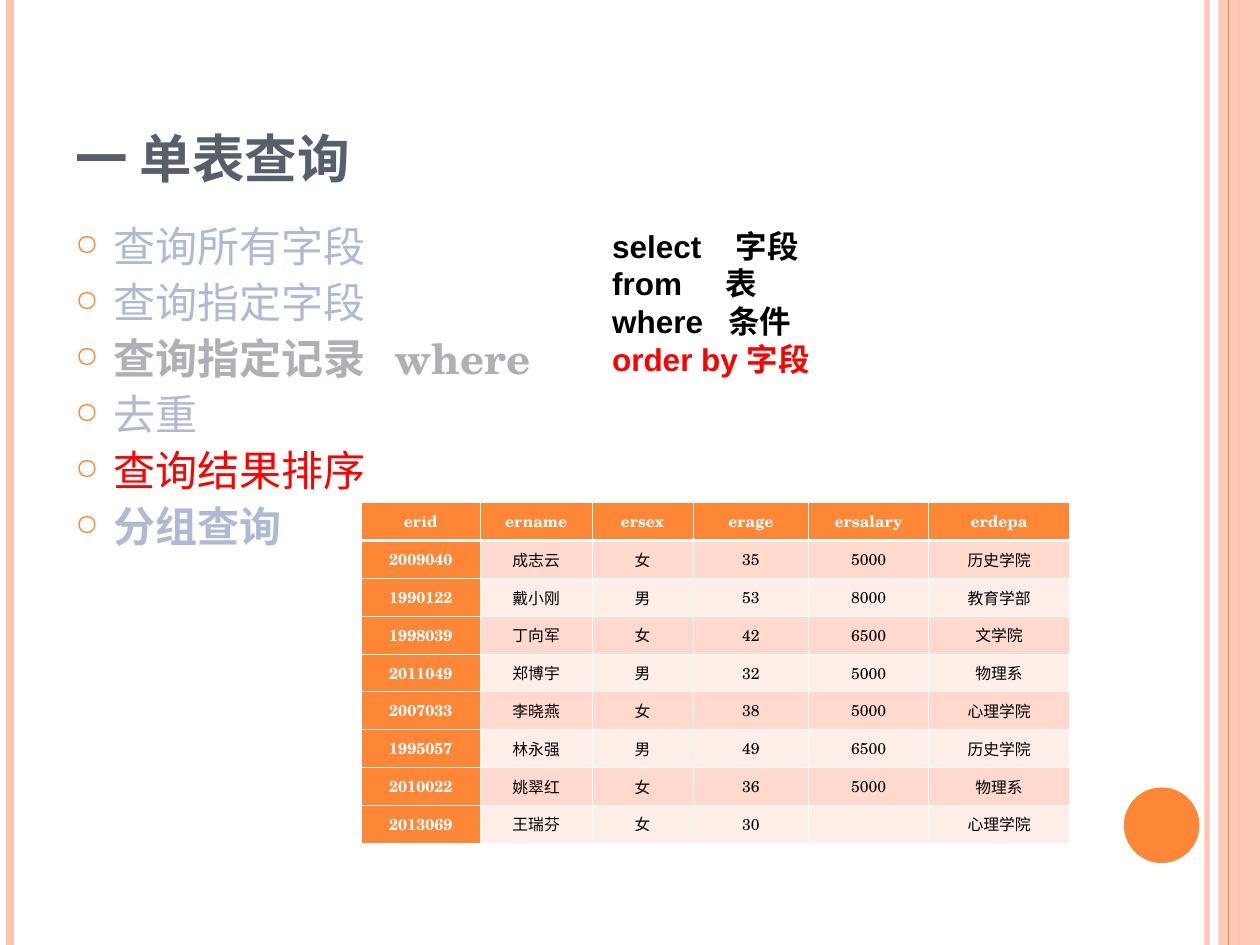
import pptx
import pptx.util
import pptx.dml.color
import pptx.enum.shapes
import pptx.enum.text
import pptx.oxml.ns
import lxml.etree
from dataclasses import dataclass

Inches, Pt = pptx.util.Inches, pptx.util.Pt
Align, Anchor = pptx.enum.text.PP_ALIGN, pptx.enum.text.MSO_ANCHOR
Shape = pptx.enum.shapes.MSO_SHAPE


@dataclass(frozen=True)
class Theme:
    orange: str = "FE8637"
    peach: str = "FEC3AE"
    slate: str = "575F6D"
    blue: str = "AEBAD5"
    gray: str = "ADB0B5"
    red: str = "FF0000"
    black: str = "000000"
    white: str = "FFFFFF"
    bands: tuple = ("FFD9CE", "FFEDE8")
    serif: str = "TeX Gyre Schola"
    sans: str = "Arial"
    title: int = 30
    body: int = 24
    code: int = 18
    cell: int = 9


T = Theme()

# text, colour, bold, tab stop in inches
TOPICS = [
    ("查询所有字段", T.blue, False, None),
    ("查询指定字段", T.blue, False, None),
    ("查询指定记录\twhere", T.gray, True, 2.53),
    ("去重", T.blue, False, None),
    ("查询结果排序", T.red, False, None),
    ("分组查询", T.blue, True, None),
]
CLAUSES = [
    ("select\t字段", T.black, True, 0.98),
    ("from\t表", T.black, True, 0.9),
    ("where\t条件", T.black, True, 0.92),
    ("order by 字段", T.red, True, None),
]
HEADS = ["erid", "ername", "ersex", "erage", "ersalary", "erdepa"]
STAFF = [
    ["2009040", "成志云", "女", "35", "5000", "历史学院"],
    ["1990122", "戴小刚", "男", "53", "8000", "教育学部"],
    ["1998039", "丁向军", "女", "42", "6500", "文学院"],
    ["2011049", "郑博宇", "男", "32", "5000", "物理系"],
    ["2007033", "李晓燕", "女", "38", "5000", "心理学院"],
    ["1995057", "林永强", "男", "49", "6500", "历史学院"],
    ["2010022", "姚翠红", "女", "36", "5000", "物理系"],
    ["2013069", "王瑞芬", "女", "30", "", "心理学院"],
]
WIDTHS = [0.94, 0.89, 0.8, 0.92, 0.95, 1.12]
SANS_COLS = (1, 2, 5)


def rgb(code):
    return pptx.dml.color.RGBColor.from_string(code)


def node(parent, tag, **attrs):
    item = lxml.etree.SubElement(parent, pptx.oxml.ns.qn("a:" + tag))
    for key, value in attrs.items():
        item.set(key, str(value))
    return item


def fade(shape, percent):
    """Set the opacity of the first solid colour in a shape."""
    tint = next(shape._element.spPr.iter(pptx.oxml.ns.qn("a:srgbClr")))
    node(tint, "alpha", val=percent * 1000)


def style(para, font, size, color, bold):
    for run in para.runs:
        run.font.name, run.font.size, run.font.bold = font, Pt(size), bold
        run.font.color.rgb = rgb(color)


def rule(slide, x, box, color, width):
    left, top, _, high = box
    line = slide.shapes.add_connector(
        pptx.enum.shapes.MSO_CONNECTOR.STRAIGHT,
        Inches(left + x), Inches(top), Inches(left + x), Inches(top + high))
    line.line.color.rgb = rgb(color)
    line.line.width = Pt(width)
    node(line._element.spPr, "effectLst")
    return line


def solid(slide, kind, box, color):
    shape = slide.shapes.add_shape(kind, *map(Inches, box))
    shape.shadow.inherit = False
    shape.fill.solid()
    shape.fill.fore_color.rgb = rgb(color)
    shape.line.fill.background()
    return shape


def frame(slide, box):
    """Draw the side stripes and the round badge."""
    left, top, wide, high = box
    fade(rule(slide, wide - 0.42, box, T.peach, 3), 93)
    rule(slide, 0.08, box, T.peach, 4.5)
    rule(slide, wide - 0.25, box, T.orange, 0.75)
    band = (left + wide - 0.33, top, 0.33, high)
    fade(solid(slide, Shape.RECTANGLE, band, T.peach), 87)
    rule(slide, wide - 0.25, box, T.orange, 0.75)
    rule(slide, wide - 0.17, box, T.peach, 1.5)
    badge = (left + wide - 1.08, top + high - 1.25, 0.6, 0.6)
    solid(slide, Shape.OVAL, badge, T.orange)


def text(slide, box, rows, font, size):
    """Add a text box and return its text frame."""
    body = slide.shapes.add_textbox(*map(Inches, box)).text_frame
    body.word_wrap = True
    body.text = "\n".join(row[0] for row in rows)
    for para, (_, color, bold, _) in zip(body.paragraphs, rows):
        style(para, font, size, color, bold)
    return body


def tabs(body, rows):
    for para, row in zip(body.paragraphs, rows):
        if row[3]:
            stops = node(para._p.get_or_add_pPr(), "tabLst")
            node(stops, "tab", pos=Inches(row[3]), algn="l")


def title(slide, box):
    rows = [("一 单表查询", T.slate, True, None)]
    text(slide, box, rows, T.serif, T.title).vertical_anchor = Anchor.BOTTOM


def topics(slide, box):
    body = text(slide, box, TOPICS, T.serif, T.body)
    for para in body.paragraphs:
        para.line_spacing, para.space_before = 0.9, Pt(6)
        props = para._p.get_or_add_pPr()
        props.set("marL", str(Inches(0.3)))
        props.set("indent", str(-Inches(0.3)))
        node(node(props, "buClr"), "srgbClr", val=T.orange)
        node(props, "buSzPct", val=70000)
        node(props, "buChar", char="○")
    tabs(body, TOPICS)


def clauses(slide, box):
    tabs(text(slide, box, CLAUSES, T.sans, T.code), CLAUSES)


def edges(cell, top, base):
    """Draw white cell borders, placed ahead of the fill."""
    props = cell._tc.get_or_add_tcPr()
    sides = {"lnL": 0.45, "lnR": 0.45, "lnT": top, "lnB": base}
    for spot, (tag, width) in enumerate(sides.items()):
        edge = node(props, tag, w=Pt(width))
        node(node(edge, "solidFill"), "srgbClr", val=T.white)
        props.insert(spot, edge)


def staff(slide, box):
    rows = [HEADS] + STAFF
    grid = slide.shapes.add_table(len(rows), len(HEADS), *map(Inches, box)).table
    for col, width in zip(grid.columns, WIDTHS):
        col.width = Inches(width)
    for r, row in enumerate(rows):
        grid.rows[r].height = Inches(box[3] / len(rows))
        for c, value in enumerate(row):
            cell, head = grid.cell(r, c), r == 0 or c == 0
            cell.text = value
            cell.vertical_anchor = Anchor.MIDDLE
            cell.margin_left = cell.margin_right = Inches(0.06)
            cell.fill.solid()
            cell.fill.fore_color.rgb = rgb(T.orange if head else T.bands[(r - 1) % 2])
            edges(cell, 1.47 if r == 1 else 0.45, 1.47 if r == 0 else 0.45)
            para = cell.text_frame.paragraphs[0]
            para.alignment = Align.CENTER
            font = T.sans if c in SANS_COLS and not head else T.serif
            style(para, font, T.cell, T.white if head else T.black, head)
            if not value:
                node(para._p, "endParaRPr", sz=T.cell * 100)


def main():
    deck = pptx.Presentation()
    deck.slide_width, deck.slide_height = Inches(10), Inches(7.5)
    slide = deck.slides.add_slide(deck.slide_layouts[6])
    frame(slide, (0, 0, 10, 7.5))
    title(slide, (0.5, 0.3, 8.17, 1.25))
    topics(slide, (0.5, 1.75, 8.17, 5.33))
    clauses(slide, (4.76, 1.75, 4.54, 1.3))
    staff(slide, (2.87, 3.99, 5.62, 2.7))
    deck.save("out.pptx")


if __name__ == "__main__":
    main()
